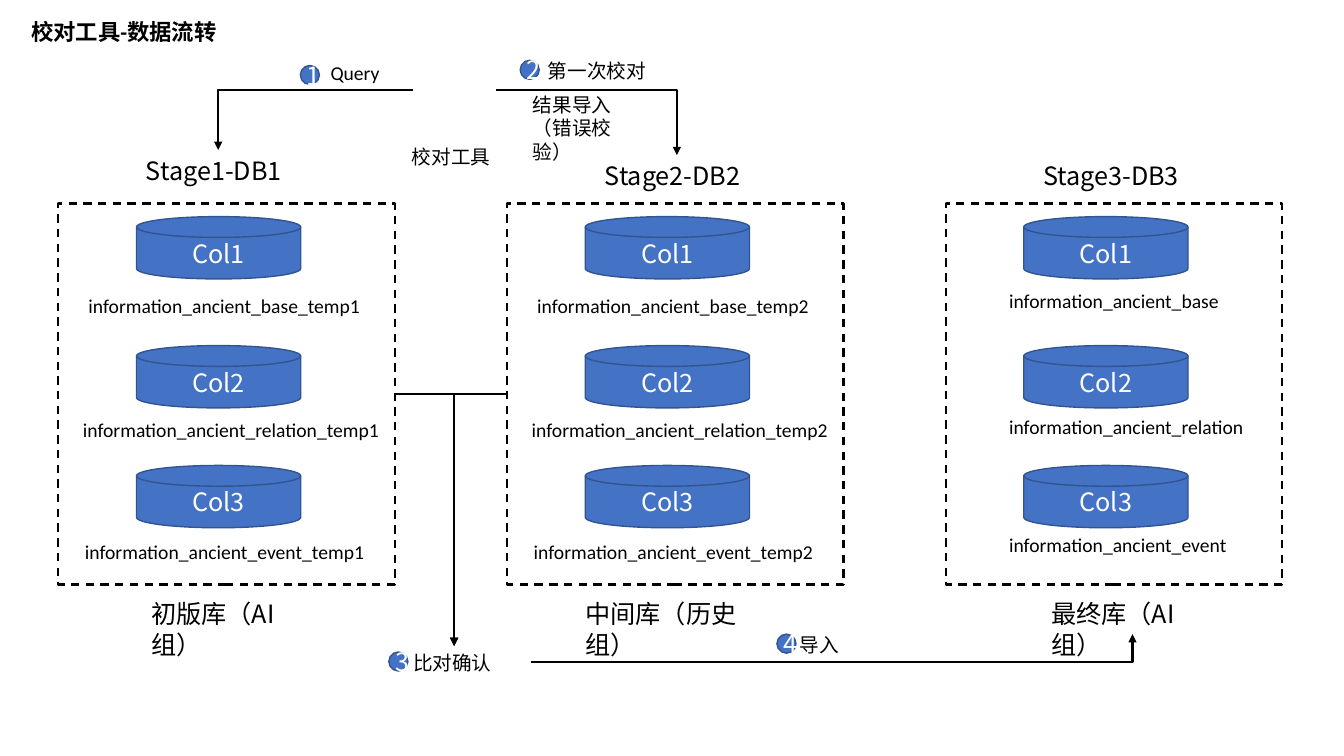
import pptx
import pptx.util
import pptx.dml.color
import pptx.enum.dml
import pptx.enum.shapes
import pptx.enum.text
import pptx.oxml
import pptx.oxml.ns
from lxml import etree

Cm, Pt = pptx.util.Cm, pptx.util.Pt
RGB = pptx.dml.color.RGBColor
SHAPE = pptx.enum.shapes.MSO_SHAPE
ANCHOR = pptx.enum.text.MSO_ANCHOR
ALIGN = pptx.enum.text.PP_ALIGN
qn = pptx.oxml.ns.qn

BLACK = RGB(0, 0, 0)
WHITE = RGB(255, 255, 255)
BLUE = RGB(0x44, 0x72, 0xC4)
NAVY = RGB(0x32, 0x54, 0x91)
LATIN, CJK = "Calibri", "Noto Sans CJK SC"
TOP, LEFT, BOTTOM, RIGHT = range(4)  # connection sites

# Lengths are in centimetres.
TITLE = "校对工具-数据流转"
TEMP_Y, TEMP_DX = (7.29, 10.41, 13.49), (0.51, 0.37, 0.42)
LAST_Y, LAST_DX = (7.16, 10.34, 13.31), (1.35, 1.35, 1.35)
STAGES = [
    dict(left=1.47, head="Stage1-DB1", spot=(3.43, 3.78), tail="_temp1",
         ys=TEMP_Y, dx=TEMP_DX, foot="初版库（AI组）", foot_x=3.56, foot_w=4.47),
    dict(left=12.78, head="Stage2-DB2", spot=(14.99, 3.91), tail="_temp2",
         ys=TEMP_Y, dx=TEMP_DX, foot="中间库（历史组）", foot_x=14.5, foot_w=5.49),
    dict(left=23.83, head="Stage3-DB3", spot=(26.04, 3.91), tail="",
         ys=LAST_Y, dx=LAST_DX, foot="最终库（AI组）", foot_x=26.24, foot_w=4.6),
]
TABLES = [("base", 5.46, 7.47), ("relation", 8.71, 8.18), ("event", 11.73, 7.8)]
LABELS = [
    ("Query", 8.08, 1.42, 2.06, 0.86),
    ("第一次校对", 13.56, 1.37, 3.05, 0.86),
    ("结果导入（错误校验）", 13.18, 2.21, 3.05, 1.45),
    ("校对工具", 10.13, 3.53, 2.57, 0.86),
    ("比对确认", 10.16, 16.28, 2.57, 0.86),
    ("导入", 19.91, 15.82, 1.6, 0.86),
]
STEPS = [(7.57, 1.65), (13.11, 1.52), (9.8, 16.43), (19.58, 15.98)]
FRAME_Y, FRAME_W, FRAME_H = 5.13, 8.48, 9.6
DISK_DX, DISK_W, DISK_H = 1.97, 4.14, 1.57


def write(shape, text, size=14, font=LATIN, color=BLACK, bold=False,
          align=ALIGN.LEFT, anchor=ANCHOR.TOP):
    """Put one formatted line of text in a shape."""
    frame = shape.text_frame
    frame.word_wrap = True
    frame.auto_size = pptx.enum.text.MSO_AUTO_SIZE.NONE
    frame.vertical_anchor = anchor
    para = frame.paragraphs[0]
    para.alignment = align
    run = para.add_run()
    run.text = text
    run.font.size, run.font.name, run.font.bold = Pt(size), font, bold
    run.font.color.rgb = color
    east = etree.SubElement(run.font._element, qn("a:ea"))
    east.set("typeface", CJK)


def label(text, x, y, w, h, **style):
    """Add a text box."""
    box = slide.shapes.add_textbox(Cm(x), Cm(y), Cm(w), Cm(h))
    write(box, text, **style)
    return box


def solid(kind, text, x, y, w, h):
    """Add a blue shape with centred white text."""
    shape = slide.shapes.add_shape(kind, Cm(x), Cm(y), Cm(w), Cm(h))
    shape.shadow.inherit = False
    shape.fill.solid()
    shape.fill.fore_color.rgb = BLUE
    shape.line.color.rgb = NAVY
    shape.line.width = Pt(1)
    write(shape, text, size=18, font=CJK, color=WHITE,
          align=ALIGN.CENTER, anchor=ANCHOR.MIDDLE)


def outline(x):
    """Add the dashed frame of a stage."""
    box = slide.shapes.add_shape(SHAPE.RECTANGLE, Cm(x), Cm(FRAME_Y),
                                 Cm(FRAME_W), Cm(FRAME_H))
    box.shadow.inherit = False
    box.fill.background()
    box.line.color.rgb = BLACK
    box.line.width = Pt(1.5)
    box.line.dash_style = pptx.enum.dml.MSO_LINE.DASH
    return box


def stage(left, head, spot, tail, ys, dx, foot, foot_x, foot_w):
    """Draw one database stage; return its head, frame and foot."""
    box = outline(left)
    for num, (name, disk_y, width) in enumerate(TABLES):
        solid(SHAPE.FLOWCHART_MAGNETIC_DISK, f"Col{num + 1}",
              left + DISK_DX, disk_y, DISK_W, DISK_H)
        label(f"information_ancient_{name}{tail}", left + dx[num], ys[num],
              width, 0.86)
    top = label(head, *spot, 4.14, 1.02, size=18, font=CJK)
    base = label(foot, foot_x, 14.96, foot_w, 1.02, size=18, font=CJK)
    return top, box, base


def arrow(goal, site, start=(0, 0), source=None, side=None):
    """Add a one-bend arrow from a point or a shape's side to a shape."""
    x, y = Cm(start[0]), Cm(start[1])
    kind = pptx.enum.shapes.MSO_CONNECTOR.ELBOW
    link = slide.shapes.add_connector(kind, x, y, x, y)
    if source is not None:
        link.begin_connect(source, side)
    link.end_connect(goal, site)
    link.line.color.rgb = BLACK
    link.line.width = Pt(1.5)
    props = link._element.spPr
    props.find(qn("a:prstGeom")).set("prst", "bentConnector2")
    etree.SubElement(props.find(qn("a:ln")), qn("a:tailEnd")).set("type", "triangle")
    etree.SubElement(props, qn("a:effectLst"))


deck = pptx.Presentation()
deck.slide_width, deck.slide_height = Cm(33.87), Cm(19.05)
slide = deck.slides.add_slide(deck.slide_layouts[5])

title = slide.shapes.title
title.left, title.top, title.width, title.height = Cm(0.53), Cm(0.33), Cm(5.26), Cm(0.94)
write(title, TITLE, size=16, bold=True)

first, second, third = [stage(**item) for item in STAGES]
notes = {item[0]: label(*item) for item in LABELS}
check = notes["比对确认"]

arrow(first[0], TOP, start=(10.41, 2.26))
arrow(second[0], TOP, start=(12.5, 2.26))
arrow(check, TOP, source=first[1], side=RIGHT)
arrow(check, TOP, source=second[1], side=LEFT)
arrow(third[2], BOTTOM, start=(13.39, 16.69))

for num, (x, y) in enumerate(STEPS, 1):
    solid(SHAPE.FLOWCHART_CONNECTOR, str(num), x, y, 0.48, 0.48)

deck.save("out.pptx")
